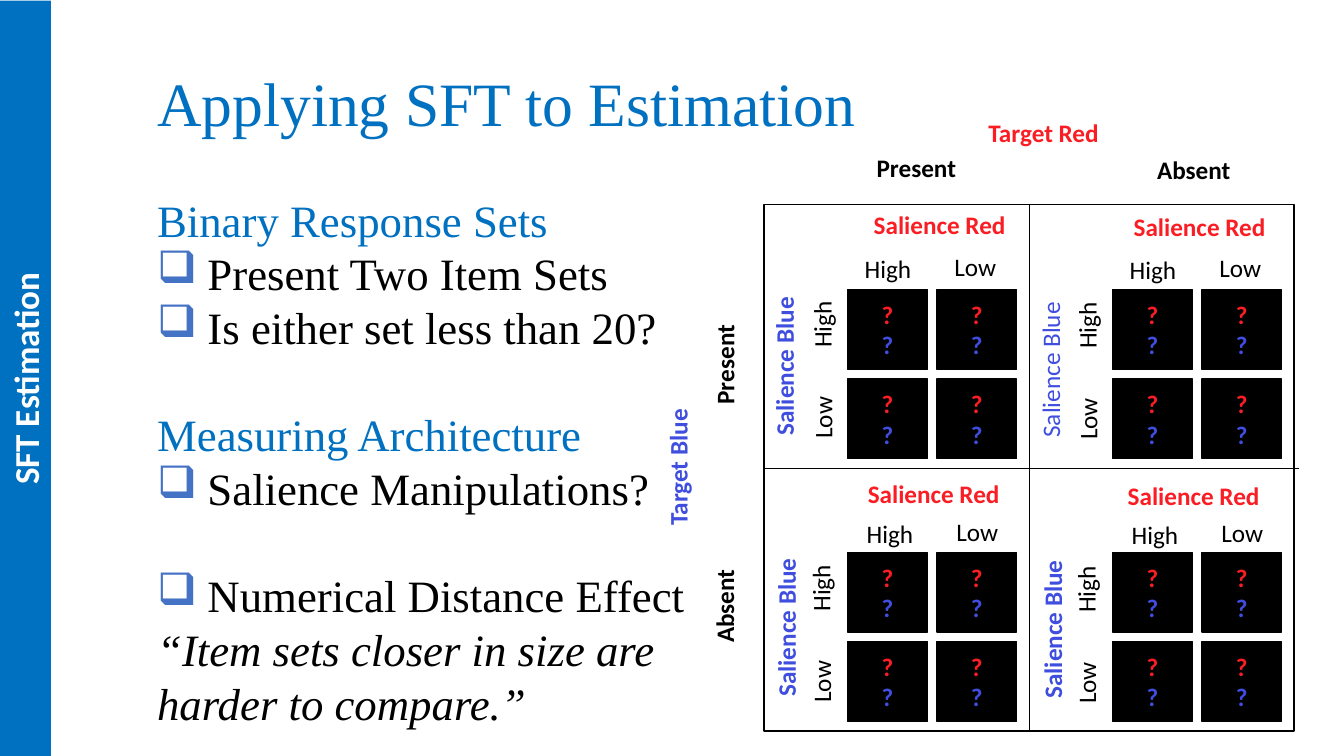
"""Build the slide on applying SFT to estimation."""
from dataclasses import dataclass
from itertools import product

from lxml.etree import SubElement
from pptx import Presentation
from pptx.dml.color import RGBColor
from pptx.enum.shapes import MSO_CONNECTOR, MSO_SHAPE
from pptx.enum.text import MSO_ANCHOR, MSO_AUTO_SIZE, PP_ALIGN
from pptx.oxml.ns import qn
from pptx.shapes.autoshape import Shape
from pptx.shapes.connector import Connector
from pptx.slide import Slide
from pptx.text.text import _Paragraph
from pptx.util import Cm, Pt

BLACK, WHITE = "000000", "FFFFFF"
RED, BLUE = "FA1E24", "3F4EDE"
HEADING, BULLET = "0070C0", "4472C4"
QUADRANT_ACROSS, QUADRANT_DOWN = 6.68, 6.62
TILE_SIZE, TILE_STEP = 2.01, 2.25
LABEL_HEIGHT = 1.02


@dataclass(frozen=True)
class Label:
    text: str
    left: float
    top: float
    width: float
    color: str = BLACK
    bold: bool = True
    upright: bool = False


@dataclass(frozen=True)
class QuadrantLabel:
    label: Label
    across: tuple[float, float]
    down: tuple[float, float]


@dataclass(frozen=True)
class Note:
    text: str
    size: int = 32
    color: str = BLACK
    bulleted: bool = False
    italic: bool = False
    gap: int = 0


BOARD_LABELS = [
    Label("Target Red", 24.66, 2.84, 3.3, RED),
    Label("Present", 21.84, 3.71, 2.54),
    Label("Absent", 28.91, 3.76, 2.36),
    Label("Target Blue", 15.34, 11.25, 3.48, BLUE, upright=True),
    Label("Present", 16.94, 8.61, 2.64, upright=True),
    Label("Absent", 17.07, 14.76, 2.36, upright=True),
]

QUADRANT_LABELS = [
    QuadrantLabel(Label("Salience Red", 21.77, 5.16, 3.86, RED), (6.55, 0.05), (-0.15, 6.76)),
    QuadrantLabel(Label("High", 21.54, 6.25, 1.7, bold=False), (6.68, 0.03), (0.05, 6.68)),
    QuadrantLabel(Label("Low", 23.8, 6.2, 1.57, bold=False), (6.68, 0.03), (0.05, 6.68)),
    QuadrantLabel(Label("Salience Blue", 17.75, 8.71, 4.01, BLUE, upright=True), (6.71, 0.05), (0.05, 6.58)),
    QuadrantLabel(Label("High", 19.86, 7.65, 1.7, bold=False, upright=True), (6.68, 0.03), (-0.03, 6.65)),
    QuadrantLabel(Label("Low", 19.94, 10.01, 1.57, bold=False, upright=True), (6.68, 0.03), (-0.03, 6.65)),
]

NOTES = [
    Note("Applying SFT to Estimation", size=44, color=HEADING),
    Note("Binary Response Sets", color=HEADING, gap=38),
    Note("Present Two Item Sets", bulleted=True),
    Note("Is either set less than 20?", bulleted=True),
    Note("Measuring Architecture", color=HEADING, gap=38),
    Note("Salience Manipulations?", bulleted=True),
    Note("Numerical Distance Effect", bulleted=True, gap=38),
    Note("“Item sets closer in size are\vharder to compare.”", italic=True),
]


def rgb(color: str) -> RGBColor:
    return RGBColor.from_string(color)


def write(para: _Paragraph, text: str, color: str, **formats: object) -> None:
    for position, line in enumerate(text.split("\v")):
        if position:
            para.add_line_break()
        span = para.add_run()
        span.text = line
        span.font.color.rgb = rgb(color)
        for name, value in formats.items():
            setattr(span.font, name, value)


def add_box(page: Slide, left: float, top: float, width: float, height: float,
            fill: str | None = None, line: str | None = None) -> Shape:
    box = page.shapes.add_shape(MSO_SHAPE.RECTANGLE, Cm(left), Cm(top), Cm(width), Cm(height))
    box.shadow.inherit = False
    if fill:
        box.fill.solid()
        box.fill.fore_color.rgb = rgb(fill)
    else:
        box.fill.background()
    if line:
        box.line.color.rgb = rgb(line)
        box.line.width = Pt(1)
    else:
        box.line.fill.background()
    box.text_frame.vertical_anchor = MSO_ANCHOR.MIDDLE
    box.text_frame.paragraphs[0].alignment = PP_ALIGN.CENTER
    return box


def add_label(page: Slide, label: Label, shift: tuple[float, float] = (0, 0), bold: bool = True) -> None:
    box = page.shapes.add_textbox(Cm(label.left + shift[0]), Cm(label.top + shift[1]),
                                  Cm(label.width), Cm(LABEL_HEIGHT))
    box.rotation = 270 if label.upright else 0
    box.text_frame.word_wrap = False
    box.text_frame.auto_size = MSO_AUTO_SIZE.SHAPE_TO_FIT_TEXT
    write(box.text_frame.paragraphs[0], label.text, label.color,
          size=Pt(18), name="Calibri", bold=label.bold and bold)


def add_tile(page: Slide, left: float, top: float) -> None:
    tile = add_box(page, left, top, TILE_SIZE, TILE_SIZE, BLACK, BLACK)
    second = tile.text_frame.add_paragraph()
    second.alignment = PP_ALIGN.CENTER
    for para, color in zip(tile.text_frame.paragraphs, (RED, BLUE)):
        write(para, "?", color, size=Pt(18), name="Calibri", bold=True)


def add_divider(page: Slide, left: float, top: float, right: float, bottom: float) -> Connector:
    divider = page.shapes.add_connector(MSO_CONNECTOR.STRAIGHT, Cm(left), Cm(top), Cm(right), Cm(bottom))
    divider.line.color.rgb = rgb(BLACK)
    divider.line.width = Pt(0.5)
    SubElement(divider.element.spPr, qn("a:effectLst"))
    return divider


def add_board(page: Slide) -> None:
    board = add_box(page, 19.25, 5.16, 13.36, 13.26, line=BLACK)
    upright = add_divider(page, 25.93, 5.16, 25.93, 18.42)
    upright.begin_connect(board, 0)
    upright.end_connect(board, 2)
    level = add_divider(page, 19.25, 11.79, 32.74, 11.79)
    level.begin_connect(board, 1)
    for label in BOARD_LABELS:
        add_label(page, label)


def add_quadrant(page: Slide, row: int, column: int) -> None:
    for item in QUADRANT_LABELS:
        shift = (column * item.across[0] + row * item.down[0],
                 column * item.across[1] + row * item.down[1])
        plain = item.label.text == "Salience Blue" and (row, column) == (0, 1)
        add_label(page, item.label, shift, bold=not plain)
    for tile_row, tile_column in product(range(2), repeat=2):
        add_tile(page, 21.36 + column * QUADRANT_ACROSS + tile_column * TILE_STEP,
                 7.3 + row * QUADRANT_DOWN + tile_row * TILE_STEP)


def add_bullet(para: _Paragraph) -> None:
    properties = para._p.get_or_add_pPr()
    properties.set("marL", str(Cm(1.27)))
    properties.set("indent", str(Cm(-1.27)))
    SubElement(SubElement(properties, qn("a:buClr")), qn("a:srgbClr"), val=BULLET)
    SubElement(properties, qn("a:buChar"), char="❑")


def add_notes(page: Slide) -> None:
    box = page.shapes.add_textbox(Cm(3.71), Cm(1.52), Cm(18.82), Cm(17.2))
    frame = box.text_frame
    frame.word_wrap = True
    frame.auto_size = MSO_AUTO_SIZE.SHAPE_TO_FIT_TEXT
    for position, note in enumerate(NOTES):
        para = frame.add_paragraph() if position else frame.paragraphs[0]
        if note.bulleted:
            add_bullet(para)
        if note.gap:
            para.space_before = Pt(note.gap)
        write(para, note.text, note.color, size=Pt(note.size), name="Times New Roman", italic=note.italic)


def main() -> None:
    deck = Presentation()
    deck.slide_width, deck.slide_height = Cm(33.87), Cm(19.05)
    page = deck.slides.add_slide(deck.slide_layouts[6])
    sidebar = add_box(page, -8.89, 8.89, 19.05, 1.3, HEADING)
    sidebar.rotation = 270
    write(sidebar.text_frame.paragraphs[0], "SFT Estimation", WHITE, size=Pt(25), name="Calibri", bold=True)
    add_board(page)
    for row, column in product(range(2), repeat=2):
        add_quadrant(page, row, column)
    add_notes(page)
    deck.save("out.pptx")


if __name__ == "__main__":
    main()
